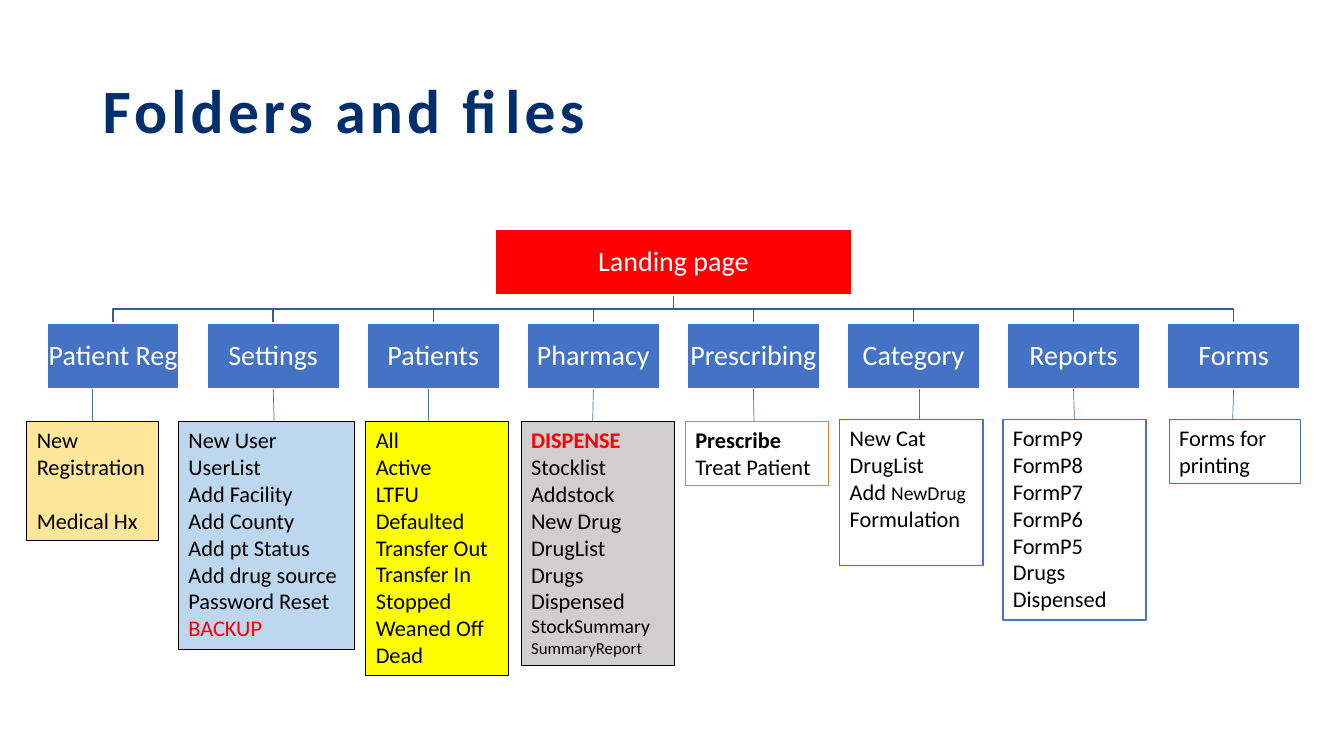
from collections import namedtuple

from lxml.etree import SubElement
from pptx import Presentation
from pptx.dml.color import RGBColor
from pptx.enum.shapes import MSO_CONNECTOR as Connector, MSO_SHAPE as Shape
from pptx.enum.text import MSO_ANCHOR as Anchor, MSO_AUTO_SIZE as AutoSize, PP_ALIGN as Align
from pptx.oxml.ns import qn
from pptx.util import Emu, Inches, Pt

COLUMNS, ROWS = 100, 100
TITLE_ONLY = 5
BLACK, WHITE, RED, BLUE = "000000", "FFFFFF", "FF0000", "4472C4"
BRANCH_BLUE, NAVY, ORANGE = "365B9D", "002F6C", "ED7D31"

Folder = namedtuple("Folder", "name left top width height fill line weight drop files")


def rgb(color):
    return RGBColor.from_string(color)


def styled(text, **text_format):
    return text, text_format


def write(paragraph, text, size=16, color=BLACK, bold=False, spacing=0, before=0):
    run = paragraph.add_run()
    run.text = text
    run.font.name = "Calibri"
    run.font.size = Pt(size)
    run.font.bold = bold
    run.font.color.rgb = rgb(color)
    if spacing:
        run.font._element.set("spc", str(spacing * 100))
    if before:
        paragraph.space_before = Pt(before)


class FolderChart:
    def __init__(self, presentation):
        self.slide = presentation.slides.add_slide(presentation.slide_layouts[TITLE_ONLY])
        self.column = presentation.slide_width / COLUMNS
        self.row = presentation.slide_height / ROWS

    def point(self, column, row):
        return Emu(round(column * self.column)), Emu(round(row * self.row))

    def title(self, text, left, top, width, height):
        shape = self.slide.shapes.title
        shape.left, shape.top = self.point(left, top)
        shape.width, shape.height = self.point(width, height)
        shape.text_frame.vertical_anchor = Anchor.MIDDLE
        paragraph = shape.text_frame.paragraphs[0]
        paragraph.alignment = Align.LEFT
        paragraph.line_spacing = 0.9
        write(paragraph, text, size=44, color=NAVY, bold=True, spacing=3)

    def box(self, left, top, width, height, fill, line, weight):
        shape = self.slide.shapes.add_shape(
            Shape.RECTANGLE, *self.point(left, top), *self.point(width, height))
        shape.shadow.inherit = False
        shape.fill.solid()
        shape.fill.fore_color.rgb = rgb(fill)
        shape.line.color.rgb = rgb(line)
        shape.line.width = Pt(weight)
        shape.text_frame.word_wrap = True
        return shape

    def heading(self, text, center, top, width, height, fill):
        shape = self.box(center - width / 2, top, width, height, fill, WHITE, 1)
        frame = shape.text_frame
        frame.margin_left = frame.margin_right = Inches(0.01)
        frame.margin_top = frame.margin_bottom = Inches(0.01)
        frame.vertical_anchor = Anchor.MIDDLE
        paragraph = frame.paragraphs[0]
        paragraph.alignment = Align.CENTER
        paragraph.line_spacing = 0.9
        write(paragraph, text, size=20, color=WHITE)
        return shape

    def file_list(self, folder):
        shape = self.box(*folder[1:8])
        frame = shape.text_frame
        frame.auto_size = AutoSize.SHAPE_TO_FIT_TEXT
        frame.vertical_anchor = Anchor.TOP
        for index, entry in enumerate(folder.files):
            paragraph = frame.add_paragraph() if index else frame.paragraphs[0]
            paragraph.alignment = Align.LEFT
            for text, text_format in [styled(entry)] if isinstance(entry, str) else entry:
                write(paragraph, text, **text_format)
        return shape

    def branch(self, start, end):
        middle = (start[1] + end[1]) / 2
        corners = [(start[0], middle), (end[0], middle), end]
        builder = self.slide.shapes.build_freeform(*self.point(*start))
        builder.add_line_segments([self.point(*corner) for corner in corners], close=False)
        shape = builder.convert_to_shape()
        shape.shadow.inherit = False
        shape.fill.background()
        shape.line.color.rgb = rgb(BRANCH_BLUE)
        shape.line.width = Pt(1)

    def drop_line(self, column, heading, files):
        x = self.point(column, 0)[0]
        connector = self.slide.shapes.add_connector(
            Connector.STRAIGHT, x, heading.top + heading.height, x, files.top)
        connector.line.color.rgb = rgb(BLUE)
        connector.line.width = Pt(0.5)
        SubElement(connector._element.spPr, qn("a:effectLst"))
        tolerance = Inches(0.02)
        if abs(heading.left + heading.width / 2 - x) < tolerance:
            connector.begin_connect(heading, 2)
        if abs(files.left + files.width / 2 - x) < tolerance:
            connector.end_connect(files, 0)


FOLDERS = [
    Folder("Patient Reg", 2, 55.73, 9.8, 15.73, "FFE699", BLACK, 0.75, 6.9,
           ["New Registration", [styled("Medical Hx", before=19.5)]]),
    Folder("Settings", 13.28, 55.73, 13.13, 30.2, "BDD7EE", BLACK, 0.75, 20.4,
           ["New User", "UserList", "Add Facility", "Add County", "Add pt Status",
            "Add drug source", "Password Reset", [styled("BACKUP", color=RED)]]),
    Folder("Patients", 27.22, 55.73, 10.65, 33.65, "FFFF00", BLACK, 0.75, 31.88,
           ["All", "Active", "LTFU", "Defaulted", "Transfer Out", "Transfer In",
            "Stopped", "Weaned Off", "Dead"]),
    Folder("Pharmacy", 38.78, 55.73, 11.43, 32.27, "D0CECE", BLACK, 0.75, 44.1,
           [[styled("DISPENSE", color=RED, bold=True)], "Stocklist", "Addstock",
            "New Drug", "DrugList", "Drugs Dispensed",
            [styled("StockSummary", size=14)], [styled("SummaryReport", size=12)]]),
    Folder("Prescribing", 51, 55.73, 10.65, 8.53, WHITE, ORANGE, 1, 56.1,
           [[styled("Prescribe", bold=True)], "Treat Patient"]),
    Folder("Category", 62.48, 55.47, 10.65, 19.33, WHITE, BLUE, 1, 68.4,
           ["New Cat", "DrugList",
            [styled("Add "), styled("NewDrug", size=14), styled(" Formulation")]]),
    Folder("Reports", 74.62, 55.47, 10.65, 26.53, WHITE, BLUE, 1, 80.02,
           ["FormP9", "FormP8", "FormP7", "FormP6", "FormP5", "Drugs Dispensed"]),
    Folder("Forms", 87, 55.47, 9.75, 8.53, WHITE, BLUE, 1, 91.72,
           ["Forms for printing"]),
]


def main():
    presentation = Presentation()
    presentation.slide_width, presentation.slide_height = Emu(12192000), Inches(7.5)
    chart = FolderChart(presentation)
    chart.title("Folders and files", 6.88, 5.32, 86.25, 19.33)

    first_center, pitch = 8.42, 11.91
    root_top, heading_top, heading_height = 30.3, 42.72, 8.75
    centers = [first_center + pitch * index for index in range(len(FOLDERS))]
    root_center = (centers[0] + centers[-1]) / 2
    for center in centers:
        chart.branch((root_center, root_top + heading_height), (center, heading_top))
    chart.heading("Landing page", root_center, root_top, 26.5, heading_height, RED)
    headings = [chart.heading(folder.name, center, heading_top, 9.84, heading_height, BLUE)
                for folder, center in zip(FOLDERS, centers)]
    file_lists = [chart.file_list(folder) for folder in FOLDERS]
    for folder, heading, files in zip(FOLDERS, headings, file_lists):
        chart.drop_line(folder.drop, heading, files)

    presentation.save("out.pptx")


if __name__ == "__main__":
    main()
